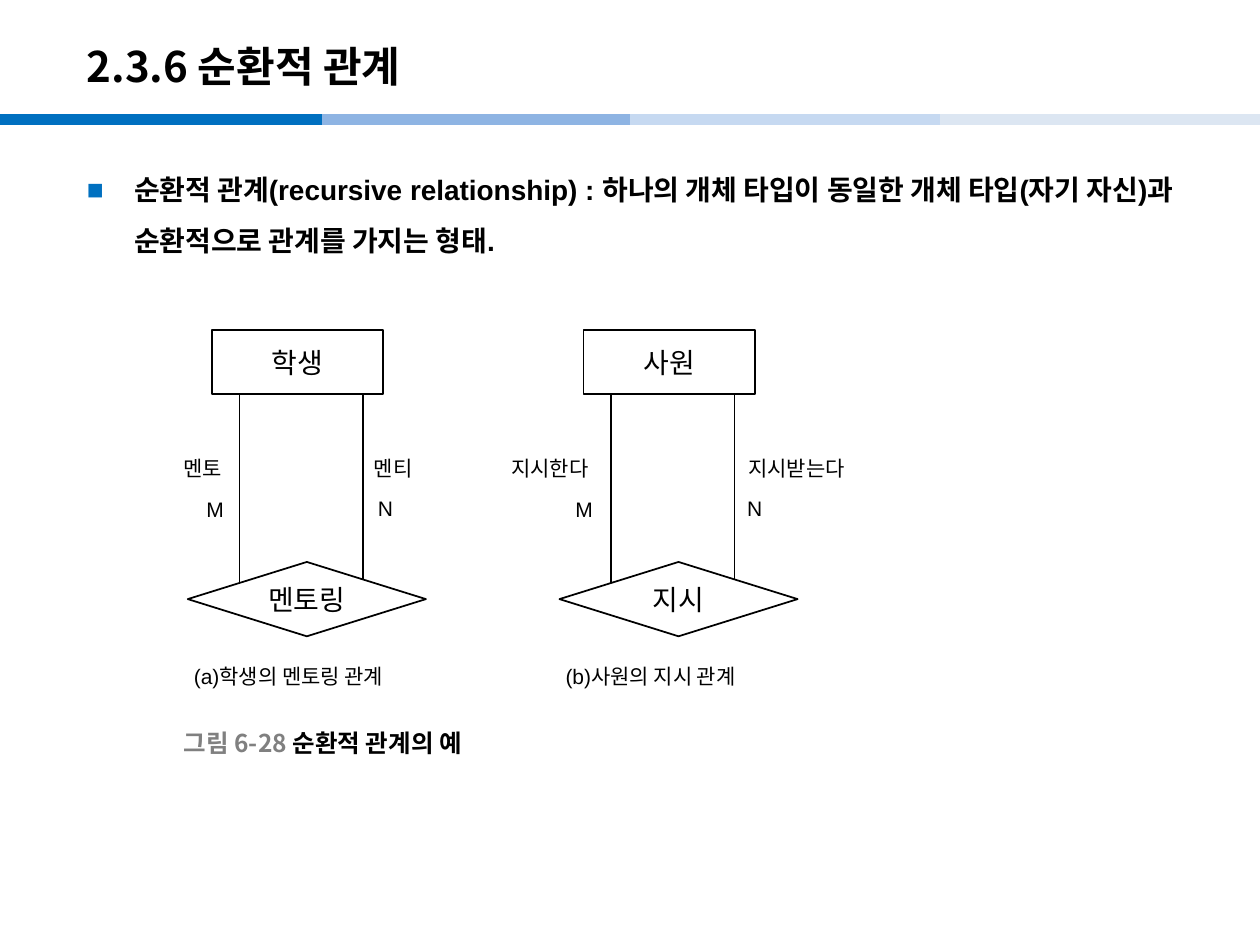
from pptx import Presentation
from pptx.dml.color import RGBColor
from pptx.enum.shapes import MSO_CONNECTOR, MSO_SHAPE
from pptx.enum.text import MSO_ANCHOR, MSO_AUTO_SIZE, PP_ALIGN
from pptx.oxml.ns import qn
from pptx.util import Pt
from lxml.etree import SubElement

KR = "Noto Sans CJK KR"


def put_text(sp, runs, size=12, font="Arial", bold=False, align=PP_ALIGN.LEFT,
             anchor=MSO_ANCHOR.TOP, wrap=True, grow=False, bullet=None, spacing=None):
    tf = sp.text_frame
    tf.word_wrap = wrap
    tf.vertical_anchor = anchor
    tf.auto_size = MSO_AUTO_SIZE.SHAPE_TO_FIT_TEXT if grow else MSO_AUTO_SIZE.NONE
    p = tf.paragraphs[0]
    p.alignment = align
    if spacing:
        p.line_spacing = spacing
    if bullet:
        pPr = p._p.get_or_add_pPr()
        pPr.set("marL", str(Pt(27)))
        pPr.set("indent", str(-Pt(27)))
        SubElement(SubElement(pPr, qn("a:buClr")), qn("a:srgbClr"), val=bullet)
        SubElement(pPr, qn("a:buFont"), typeface="Arial")
        SubElement(pPr, qn("a:buChar"), char="■")
    for text, color in runs:
        r = p.add_run()
        r.text = text
        r.font.size = Pt(size)
        r.font.bold = bold
        r.font.name = font
        r.font.color.rgb = RGBColor.from_string(color)
        SubElement(r._r.get_or_add_rPr(), qn("a:ea"), typeface=KR)
    return tf


def add_line(x1, y1, x2, y2, color, width):
    c = s.shapes.add_connector(MSO_CONNECTOR.STRAIGHT, Pt(x1), Pt(y1), Pt(x2), Pt(y2))
    c.line.color.rgb = RGBColor.from_string(color)
    c.line.width = Pt(width)
    SubElement(c._element.spPr, qn("a:effectLst"))


prs = Presentation()
prs.slide_width, prs.slide_height = Pt(720), Pt(540)
s = prs.slides.add_slide(prs.slide_layouts[6])

for x, color in [(0, "0070C0"), (184.3, "8EB4E3"), (360, "C6D9F1"), (537.1, "DCE6F2")]:
    add_line(x, 68.4, x + 184.3, 68.4, color, 6)

title = s.shapes.add_textbox(Pt(42.5), Pt(15.8), Pt(595.4), Pt(43.2))
put_text(title, [("2.3.6 순환적 관계", "000000")], size=24, font=KR, bold=True,
         anchor=MSO_ANCHOR.MIDDLE)

body = s.shapes.add_textbox(Pt(42.5), Pt(85.7), Pt(635), Pt(430.6))
put_text(body, [("순환적 관계(recursive relationship) : 하나의 개체 타입이 동일한 개체 타입"
                 "(자기 자신)과 순환적으로 관계를 가지는 형태.", "000000")],
         size=16, bold=True, bullet="0070C0", spacing=1.5)

for x, entity, relation in [(107.3, "학생", "멘토링"), (319.7, "사원", "지시")]:
    for line_x in (x + 29.5, x + 100.1):
        add_line(line_x, 225.4, line_x, 333.4, "000000", 1)
    for kind, left, top, w, h, text in [
        (MSO_SHAPE.RECTANGLE, x + 13.7, 188.6, 97.9, 36.8, entity),
        (MSO_SHAPE.FLOWCHART_DECISION, x, 321.1, 136.1, 42.5, relation),
    ]:
        sp = s.shapes.add_shape(kind, Pt(left), Pt(top), Pt(w), Pt(h))
        sp.shadow.inherit = False
        sp.fill.solid()
        sp.fill.fore_color.rgb = RGBColor.from_string("FFFFFF")
        sp.line.color.rgb = RGBColor.from_string("000000")
        sp.line.width = Pt(1)
        tf = put_text(sp, [(text, "000000")], size=16, font=KR,
                      align=PP_ALIGN.CENTER, anchor=MSO_ANCHOR.MIDDLE)
        if kind == MSO_SHAPE.FLOWCHART_DECISION:
            tf.margin_left = tf.margin_right = Pt(2.9)

labels = [
    ("멘토", 97.9, 257, 38.9), ("멘티", 206.6, 257, 38.9),
    ("지시한다", 285.1, 257, 63.4), ("지시받는다", 420.5, 257, 74.9),
    ("M", 110.9, 280.1, 25.9), ("N", 208.8, 279.4, 23.8),
    ("M", 321.8, 280.1, 25.9), ("N", 419.8, 279.4, 23.8),
    ("(a)학생의 멘토링 관계", 103.7, 375.8, 133.9),
    ("(b)사원의 지시 관계", 316.1, 375.8, 122.4),
]
for text, x, y, w in labels:
    sp = s.shapes.add_textbox(Pt(x), Pt(y), Pt(w), Pt(21.6))
    put_text(sp, [(text, "000000")], wrap=False, grow=True)

caption = s.shapes.add_textbox(Pt(97.9), Pt(413.3), Pt(147.6), Pt(22.3))
put_text(caption, [("그림 6-28 ", "808080"), ("순환적 관계의 예", "000000")],
         size=14, font=KR, bold=True, anchor=MSO_ANCHOR.MIDDLE, wrap=False)

prs.save("out.pptx")
